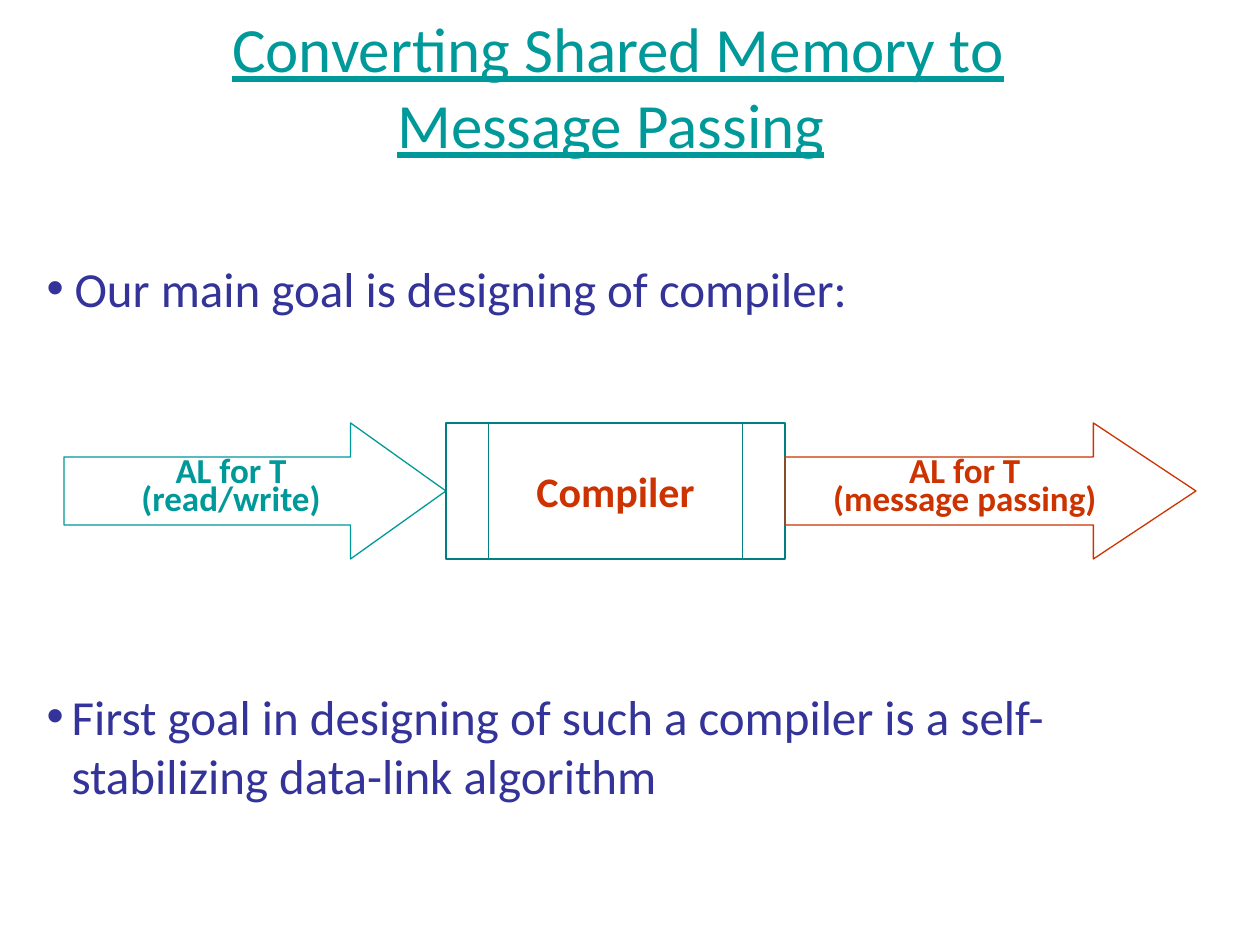
from pptx import Presentation, util as u
from pptx.dml.color import RGBColor
from pptx.enum import shapes, text

PX = 914400 // 126
TEAL, RED, BLUE = "009999", "CC3300", "333399"
KIND = shapes.MSO_SHAPE

TITLE = "Converting Shared Memory to\vMessage Passing"
GOALS = [
    ("Our main goal is designing of compiler:", (34, 252, 1171, 72), 28),
    ("First goal in designing of such a compiler is a "
     "self-stabilizing data-link algorithm", (34, 680, 1181, 130), 25),
]
FLOW = [
    (KIND.RIGHT_ARROW, 382, TEAL, TEAL, 20, 0.5, 0.701,
     ["AL for T", "(read/write)"]),
    (KIND.FLOWCHART_PREDEFINED_PROCESS, 339, "008080", RED, 24, 1, None,
     ["Compiler"]),
    (KIND.RIGHT_ARROW, 411, RED, RED, 20, 0.5, 0.754,
     ["AL for T", "(message passing)"]),
]
LEFT, TOP, HIGH = 64, 423, 136


def color(code):
    return RGBColor.from_string(code)


def place(box, rect):
    box.left, box.top, box.width, box.height = [n * PX for n in rect]
    box.text_frame.auto_size = text.MSO_AUTO_SIZE.NONE


def style(font, size, code, bold=False):
    font.name, font.size, font.bold = "Calibri", u.Pt(size), bold
    font.color.rgb = color(code)


deck = Presentation()
deck.slide_width, deck.slide_height = u.Inches(10), u.Inches(7.5)
slide = deck.slides.add_slide(deck.slide_layouts[3])
head, *lists = slide.placeholders

place(head, (10, -4, 1216, 179))
head.text_frame.vertical_anchor = text.MSO_ANCHOR.MIDDLE
para = head.text_frame.paragraphs[0]
para.text = TITLE
para.alignment = text.PP_ALIGN.CENTER
style(para.font, 36, TEAL)
for run in para.runs:
    style(run.font, 36, TEAL)
    run.font.underline = True
gap = para.add_run()
gap.text = " "
style(gap.font, 36, "000000")

for box, (words, rect, indent) in zip(lists, GOALS):
    place(box, rect)
    para = box.text_frame.paragraphs[0]
    para.text = words
    para.space_before = u.Pt(0)
    style(para.font, 28, BLUE)
    props = para._p.get_or_add_pPr()
    props.set("marL", str(indent * PX))
    props.set("indent", str(-indent * PX))

left = LEFT
for kind, wide, edge, ink, size, pitch, tip, lines in FLOW:
    step = slide.shapes.add_shape(
        kind, left * PX, TOP * PX, wide * PX, HIGH * PX)
    left += wide
    step.shadow.inherit = False
    step.fill.background()
    step.line.color.rgb = color(edge)
    step.line.width = u.Pt(0.75)
    if tip:
        step.adjustments[1] = tip
    frame = step.text_frame
    frame.word_wrap = False
    frame.vertical_anchor = text.MSO_ANCHOR.MIDDLE
    frame.text = "\n".join(lines)
    for para in frame.paragraphs:
        para.alignment = text.PP_ALIGN.CENTER
        para.line_spacing = pitch
        para.space_before = u.Pt(size / 5)
        style(para.font, size, ink, True)

deck.save("out.pptx")
